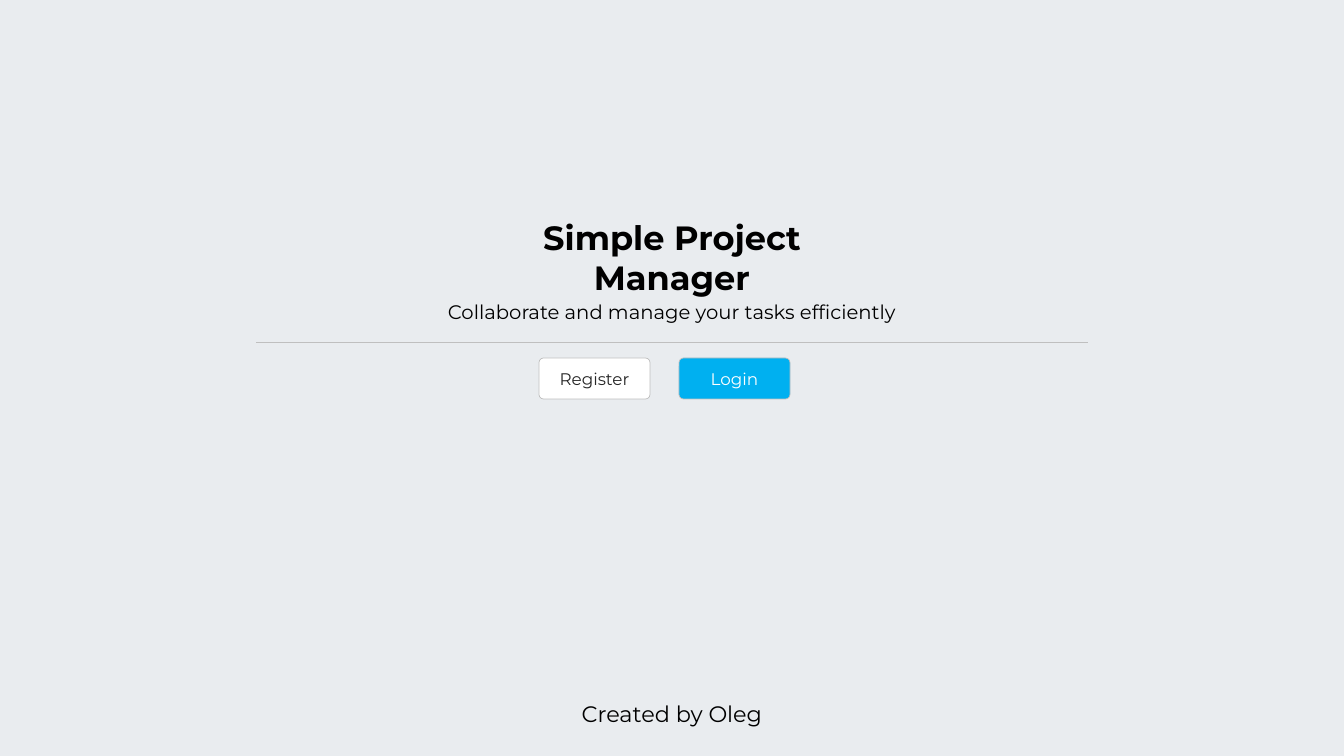
from lxml import etree
from pptx import Presentation
from pptx.dml.color import RGBColor
from pptx.enum.shapes import MSO_CONNECTOR, MSO_SHAPE
from pptx.enum.text import MSO_ANCHOR, PP_ALIGN
from pptx.oxml.ns import qn
from pptx.util import Pt

STRAIGHT = MSO_CONNECTOR.STRAIGHT
ROUNDED = MSO_SHAPE.ROUNDED_RECTANGLE
MIDDLE = MSO_ANCHOR.MIDDLE
CENTER = PP_ALIGN.CENTER

EMU_PER_PX = 914400 / 100.8
SLIDE_WIDTH, SLIDE_HEIGHT = 1344, 756

BACKGROUND = RGBColor(0xE9, 0xEC, 0xEF)
BORDER = RGBColor(0xBF, 0xBF, 0xBF)
WHITE = RGBColor(0xFF, 0xFF, 0xFF)
BLACK = RGBColor(0x00, 0x00, 0x00)
DARK = RGBColor(0x26, 0x26, 0x26)
BLUE = RGBColor(0x00, 0xB0, 0xF0)

FONT = "Montserrat"
BUTTON_TOP, BUTTON_WIDTH, BUTTON_HEIGHT = 358, 111, 41
BUTTON_LEFT, BUTTON_STEP = 539, 140
BUTTONS = [("Register", WHITE, DARK), ("Login", BLUE, WHITE)]
TEXT_HEIGHT = 58
TEXTS = [
    ("Simple Project Manager", 228, 429, 24, True),
    ("Created by Oleg", 685, 429, 16, False),
    ("Collaborate and manage your tasks efficiently", 283, 570, 14, False),
]


def px(*lengths):
    return [round(length * EMU_PER_PX) for length in lengths]


def set_border(line):
    line.color.rgb = BORDER
    line.width = Pt(0.5)


def write_text(shape, text, size, color, bold=False):
    frame = shape.text_frame
    frame.word_wrap = True
    frame.vertical_anchor = MIDDLE
    paragraph = frame.paragraphs[0]
    paragraph.alignment = CENTER
    run = paragraph.add_run()
    run.text = text
    run.font.color.rgb = color
    font_format = {"name": FONT, "size": Pt(size), "bold": bold}
    for attribute, value in font_format.items():
        setattr(run.font, attribute, value)


def add_divider(slide, left, right, top):
    divider = slide.shapes.add_connector(STRAIGHT, *px(left, top, right, top))
    set_border(divider.line)
    etree.SubElement(divider._element.spPr, qn("a:effectLst"))


def add_button(slide, left, label, fill, color):
    button = slide.shapes.add_shape(
        ROUNDED, *px(left, BUTTON_TOP, BUTTON_WIDTH, BUTTON_HEIGHT))
    button.adjustments[0] = 0.11
    button.shadow.inherit = False
    button.fill.solid()
    button.fill.fore_color.rgb = fill
    set_border(button.line)
    write_text(button, label, 12, color)


def add_centered_text(slide, text, top, width, size, bold):
    """Add a text box centred across the slide."""
    left = (SLIDE_WIDTH - width) / 2
    box = slide.shapes.add_textbox(*px(left, top, width, TEXT_HEIGHT))
    write_text(box, text, size, BLACK, bold)


def main():
    presentation = Presentation()
    presentation.slide_width, presentation.slide_height = px(
        SLIDE_WIDTH, SLIDE_HEIGHT)
    slide = presentation.slides.add_slide(presentation.slide_layouts[6])
    slide.background.fill.solid()
    slide.background.fill.fore_color.rgb = BACKGROUND

    add_divider(slide, 256, 1088, 342)
    for index, button in enumerate(BUTTONS):
        add_button(slide, BUTTON_LEFT + index * BUTTON_STEP, *button)
    for text in TEXTS:
        add_centered_text(slide, *text)

    presentation.save("out.pptx")


if __name__ == "__main__":
    main()
